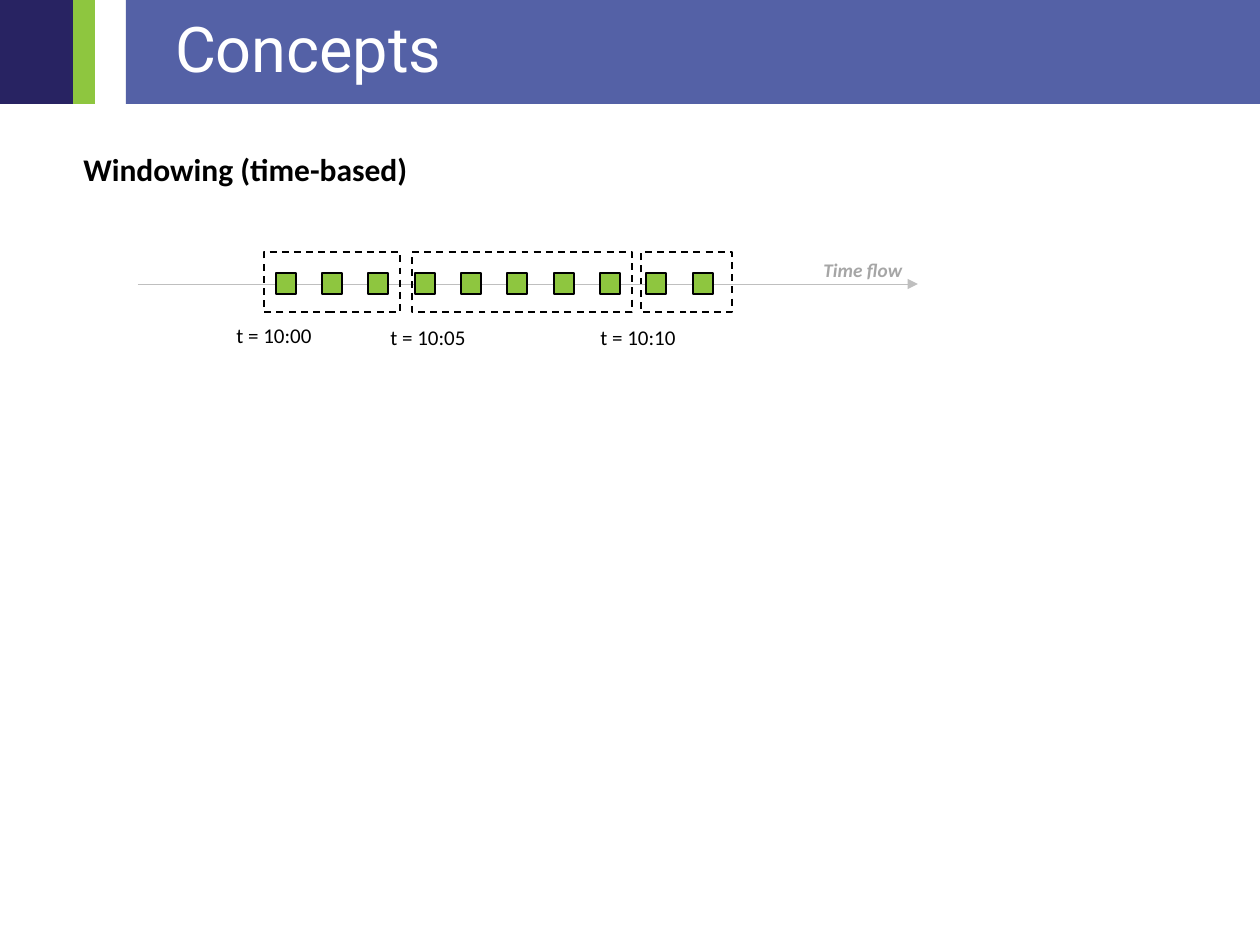
from dataclasses import dataclass

from pptx import Presentation
from pptx.dml.color import RGBColor
from pptx.enum.dml import MSO_LINE
from pptx.enum.shapes import MSO_CONNECTOR, MSO_SHAPE
from pptx.enum.text import MSO_ANCHOR, MSO_AUTO_SIZE, PP_ALIGN
from pptx.oxml.ns import qn
from pptx.slide import Slide
from pptx.util import Pt
from lxml.etree import SubElement

EMU_PER_PX = 914400 / 126
COLORS = {
    "banner": "5461A6",
    "navy": "282362",
    "green": "8EC63F",
    "black": "000000",
    "white": "FFFFFF",
    "axis": "BFBFBF",
    "caption": "A6A6A6",
}
TITLE_BOX = (126, 0, 1134, 104)
EVENT_COUNT, EVENT_LEFT, EVENT_SPAN = 10, 276, 417


@dataclass
class Block:
    left: int
    top: int
    width: int
    height: int
    fill: str = ""
    line: str = ""
    dashed: bool = False


@dataclass
class Label:
    text: str
    left: int
    top: int
    width: int
    height: int
    size: int
    color: str = "black"
    bold: bool = False
    italic: bool = False


BANNER = [
    Block(*TITLE_BOX, fill="banner"),
    Block(0, 0, 87, 104, fill="navy"),
    Block(73, 0, 22, 104, fill="green"),
]
EVENTS = [
    Block(EVENT_LEFT + i * EVENT_SPAN // (EVENT_COUNT - 1), 273, 20, 21, "green", "black")
    for i in range(EVENT_COUNT)
]
WINDOWS = [
    Block(left, 252, width, 60, line="black", dashed=True)
    for left, width in ((264, 136), (412, 220), (641, 91))
]
LABELS = [
    Label("Windowing (time-based)", 71, 144, 352, 51, 18, bold=True),
    Label("Time flow", 811, 252, 106, 36, 11, "caption", bold=True, italic=True),
    Label("t = 10:00", 224, 316, 102, 38, 12),
    Label("t = 10:05", 378, 318, 102, 38, 12),
    Label("t = 10:10", 588, 318, 102, 38, 12),
]


def px(*lengths: int) -> list[int]:
    """Turn pixels into EMU."""
    return [round(length * EMU_PER_PX) for length in lengths]


def rgb(name: str) -> RGBColor:
    return RGBColor.from_string(COLORS[name])


def set_font(font, color: str, **values) -> None:
    for name, value in values.items():
        setattr(font, name, value)
    font.color.rgb = rgb(color)


def add_block(page: Slide, block: Block) -> None:
    shape = page.shapes.add_shape(
        MSO_SHAPE.RECTANGLE, *px(block.left, block.top, block.width, block.height)
    )
    shape.shadow.inherit = False
    if block.fill:
        shape.fill.solid()
        shape.fill.fore_color.rgb = rgb(block.fill)
    else:
        shape.fill.background()
    if block.line:
        shape.line.color.rgb = rgb(block.line)
        shape.line.width = Pt(1)
    else:
        shape.line.fill.background()
    if block.dashed:
        shape.line.dash_style = MSO_LINE.DASH


def add_label(page: Slide, label: Label) -> None:
    box = page.shapes.add_textbox(*px(label.left, label.top, label.width, label.height))
    frame = box.text_frame
    frame.word_wrap = False
    frame.auto_size = MSO_AUTO_SIZE.SHAPE_TO_FIT_TEXT
    span = frame.paragraphs[0].add_run()
    span.text = label.text
    set_font(span.font, label.color, name="Calibri", size=Pt(label.size),
             bold=label.bold, italic=label.italic)


def add_time_axis(page: Slide) -> None:
    axis = page.shapes.add_connector(MSO_CONNECTOR.STRAIGHT, *px(138, 284, 918, 284))
    axis.line.color.rgb = rgb("axis")
    axis.line.width = Pt(0.5)
    properties = axis.element.spPr
    SubElement(properties.find(qn("a:ln")), qn("a:tailEnd"), type="triangle")
    SubElement(properties, qn("a:effectLst"))


def place_title(page: Slide, text: str) -> None:
    """Format the title and bring it in front of the banner."""
    title = page.shapes.title
    title.left, title.top, title.width, title.height = px(*TITLE_BOX)
    frame = title.text_frame
    left, top, right, bottom = px(49, 6, 13, 6)
    layout = {
        "margin_left": left, "margin_top": top,
        "margin_right": right, "margin_bottom": bottom,
        "vertical_anchor": MSO_ANCHOR.MIDDLE,
        "word_wrap": True, "auto_size": MSO_AUTO_SIZE.NONE,
    }
    for name, value in layout.items():
        setattr(frame, name, value)
    para = frame.paragraphs[0]
    para.alignment = PP_ALIGN.LEFT
    para.line_spacing = 0.9
    span = para.add_run()
    span.text = text
    set_font(span.font, "white", name="Roboto", size=Pt(36))
    title.element.getparent().append(title.element)


def main() -> None:
    deck = Presentation()
    deck.slide_width, deck.slide_height = px(1260, 945)
    page = deck.slides.add_slide(deck.slide_layouts.get_by_name("Title Only"))
    for block in BANNER:
        add_block(page, block)
    add_time_axis(page)
    place_title(page, "Concepts")
    for block in EVENTS + WINDOWS:
        add_block(page, block)
    for label in LABELS:
        add_label(page, label)
    deck.save("out.pptx")


if __name__ == "__main__":
    main()
